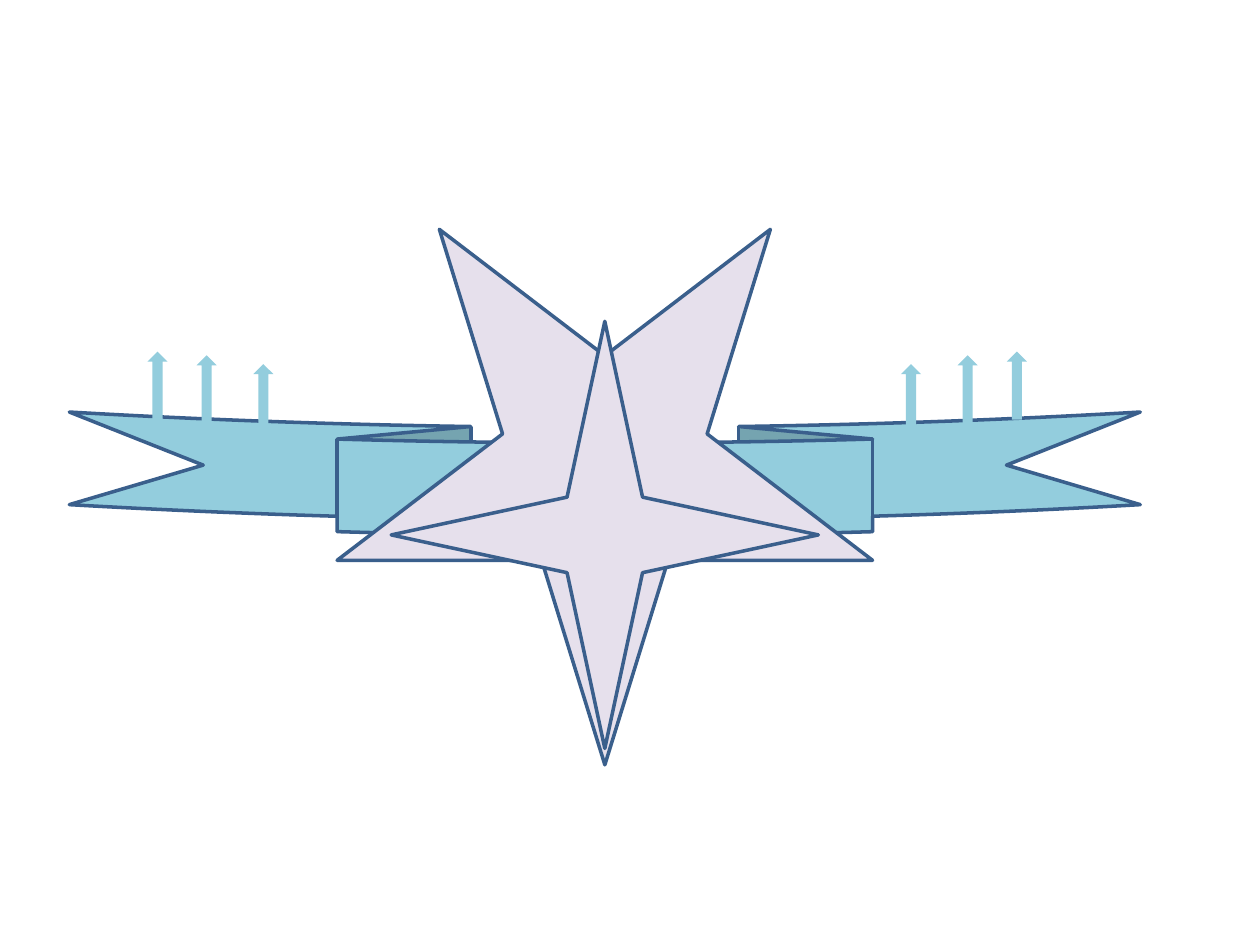
from pptx import Presentation
from pptx.dml.color import RGBColor
from pptx.enum.shapes import MSO_SHAPE
from pptx.util import Inches, Pt

COLORS = {"ribbon": "93CDDD", "star": "E6E0EC", "outline": "3A5F8C"}

# Grid of 10 columns by 7.5 rows
SLIDE_COLUMNS, SLIDE_ROWS = 10, 7.5
CELL = Inches(1)

EMBLEM_CENTER = 4.8
ARROW_AXIS = 4.66
ARROW_WIDTH, ARROW_HEIGHT = 0.16, 0.54
# Distance from the arrow axis and top row, outermost first
ARROW_STEPS = [(3.41, 2.79), (3.02, 2.82), (2.57, 2.89)]


def add_figure(group, kind, center, top, width, height, fill, outline=None):
    """Add an upside-down preset shape centred on a column position."""
    left = center - width / 2
    figure = group.shapes.add_shape(
        kind, *(round(length * CELL) for length in (left, top, width, height)))
    figure.rotation = 180
    figure.shadow.inherit = False
    figure.fill.solid()
    figure.fill.fore_color.rgb = RGBColor.from_string(COLORS[fill])
    if outline:
        figure.line.color.rgb = RGBColor.from_string(COLORS[outline])
        figure.line.width = Pt(2)
    else:
        figure.line.fill.background()
    return figure


def add_emblem(group):
    """Ribbon with two stars stacked in front of it."""
    add_figure(group, MSO_SHAPE.CURVED_UP_RIBBON, EMBLEM_CENTER, 3.27,
               8.5, 0.98, "ribbon", "outline")
    add_figure(group, MSO_SHAPE.STAR_5_POINT, EMBLEM_CENTER, 1.82,
               4.25, 4.25, "star", "outline")
    add_figure(group, MSO_SHAPE.STAR_4_POINT, EMBLEM_CENTER, 2.55,
               3.39, 3.39, "star", "outline")


def add_arrows(group):
    """Mirrored arrows over both ribbon tails."""
    for side in (1, -1):
        for distance, top in ARROW_STEPS:
            add_figure(group, MSO_SHAPE.DOWN_ARROW,
                       ARROW_AXIS + side * distance, top,
                       ARROW_WIDTH, ARROW_HEIGHT, "ribbon")


def main():
    deck = Presentation()
    deck.slide_width = round(SLIDE_COLUMNS * CELL)
    deck.slide_height = round(SLIDE_ROWS * CELL)
    page = deck.slides.add_slide(deck.slide_layouts[6])
    group = page.shapes.add_group_shape()
    add_emblem(group)
    add_arrows(group)
    deck.save("out.pptx")


main()
